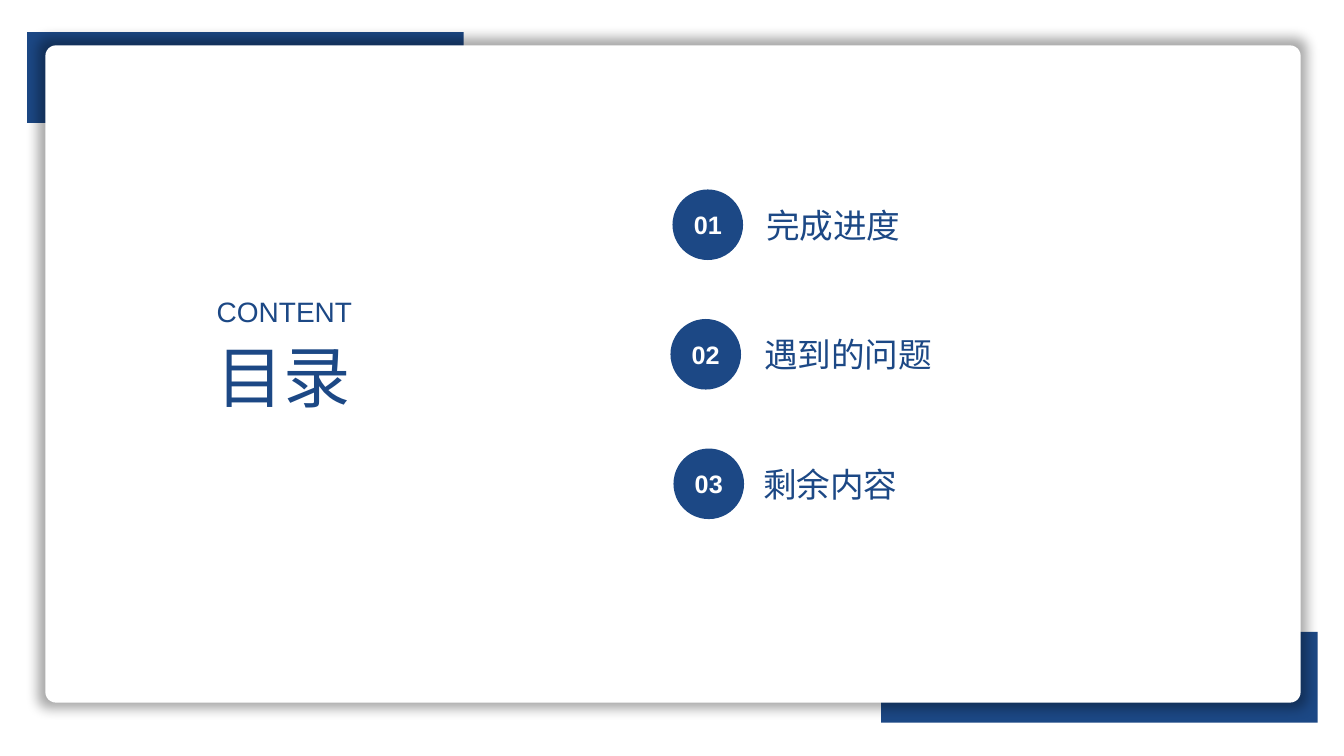
from lxml import etree
from pptx import Presentation
from pptx.dml.color import RGBColor
from pptx.enum.shapes import MSO_SHAPE
from pptx.enum.text import MSO_ANCHOR, MSO_AUTO_SIZE, PP_ALIGN
from pptx.oxml.ns import qn
from pptx.util import Inches, Pt

RECTANGLE = MSO_SHAPE.RECTANGLE
ROUNDED = MSO_SHAPE.ROUNDED_RECTANGLE
OVAL = MSO_SHAPE.OVAL
MIDDLE = MSO_ANCHOR.MIDDLE
GROW = MSO_AUTO_SIZE.SHAPE_TO_FIT_TEXT
CENTER = PP_ALIGN.CENTER
JUSTIFY = PP_ALIGN.JUSTIFY

COLORS = {"navy": "1C4885", "white": "FFFFFF", "shadow": "000000"}
FONT = "Arial"


def write_text(frame, text, size, color="navy", bold=False, align=JUSTIFY):
    para = frame.paragraphs[0]
    para.alignment = align
    span = para.add_run()
    span.text = text
    span.font.name = FONT
    span.font.size = Pt(size)
    span.font.bold = bold
    span.font.color.rgb = RGBColor.from_string(COLORS[color])


class SlideBuilder:
    """Holds the style and the current slide."""

    def __init__(self, page):
        self.page = page

    def shape(self, kind, left, top, width, height, color="navy"):
        shape = self.page.shapes.add_shape(
            kind, Inches(left), Inches(top), Inches(width), Inches(height))
        shape.shadow.inherit = False
        shape.fill.solid()
        shape.fill.fore_color.rgb = RGBColor.from_string(COLORS[color])
        shape.line.fill.background()
        return shape

    def card(self, left, top, width, height):
        card = self.shape(ROUNDED, left, top, width, height, "white")
        card.adjustments[0] = 0.016
        # Soft shadow, slightly larger than the card on every side
        effects = card._element.spPr.find(qn("a:effectLst"))
        shadow = etree.SubElement(
            effects, qn("a:outerShdw"), blurRad=str(Inches(0.12)),
            sx="101000", sy="102000", algn="ctr", rotWithShape="0")
        tint = etree.SubElement(shadow, qn("a:srgbClr"), val=COLORS["shadow"])
        etree.SubElement(tint, qn("a:alpha"), val="35000")

    def label(self, text, left, top, width, height, size):
        box = self.page.shapes.add_textbox(
            Inches(left), Inches(top), Inches(width), Inches(height))
        box.text_frame.word_wrap = True
        box.text_frame.auto_size = GROW
        write_text(box.text_frame, text, size)

    def badge(self, number, left, top, diameter):
        badge = self.shape(OVAL, left, top, diameter, diameter)
        badge.text_frame.vertical_anchor = MIDDLE
        write_text(badge.text_frame, f"{number:02d}", 18, color="white",
                   bold=True, align=CENTER)


def main():
    deck = Presentation()
    deck.slide_width = Inches(13.33)
    deck.slide_height = Inches(7.5)
    builder = SlideBuilder(deck.slides.add_slide(deck.slide_layouts[6]))

    # Corner blocks behind the white card
    for left, top in ((8.74, 6.27), (0.27, 0.32)):
        builder.shape(RECTANGLE, left, top, 4.33, 0.9)
    builder.card(0.45, 0.45, 12.45, 6.52)

    # Heading
    builder.label("目录", 2.05, 3.28, 2.54, 0.91, size=48)
    builder.label("CONTENT", 2.05, 2.87, 2.54, 0.44, size=20)

    # Numbered sections: title, badge left, title left
    sections = (
        ("完成进度", 6.67, 7.5),
        ("遇到的问题", 6.65, 7.48),
        ("剩余内容", 6.68, 7.47),
    )
    first_top, pitch = 1.88, 1.285
    for index, (title, badge_left, title_left) in enumerate(sections):
        top = first_top + index * pitch
        builder.badge(index + 1, badge_left, top, 0.7)
        builder.label(title, title_left, top + 0.1, 4.05, 0.5, size=24)

    deck.save("out.pptx")


if __name__ == "__main__":
    main()
